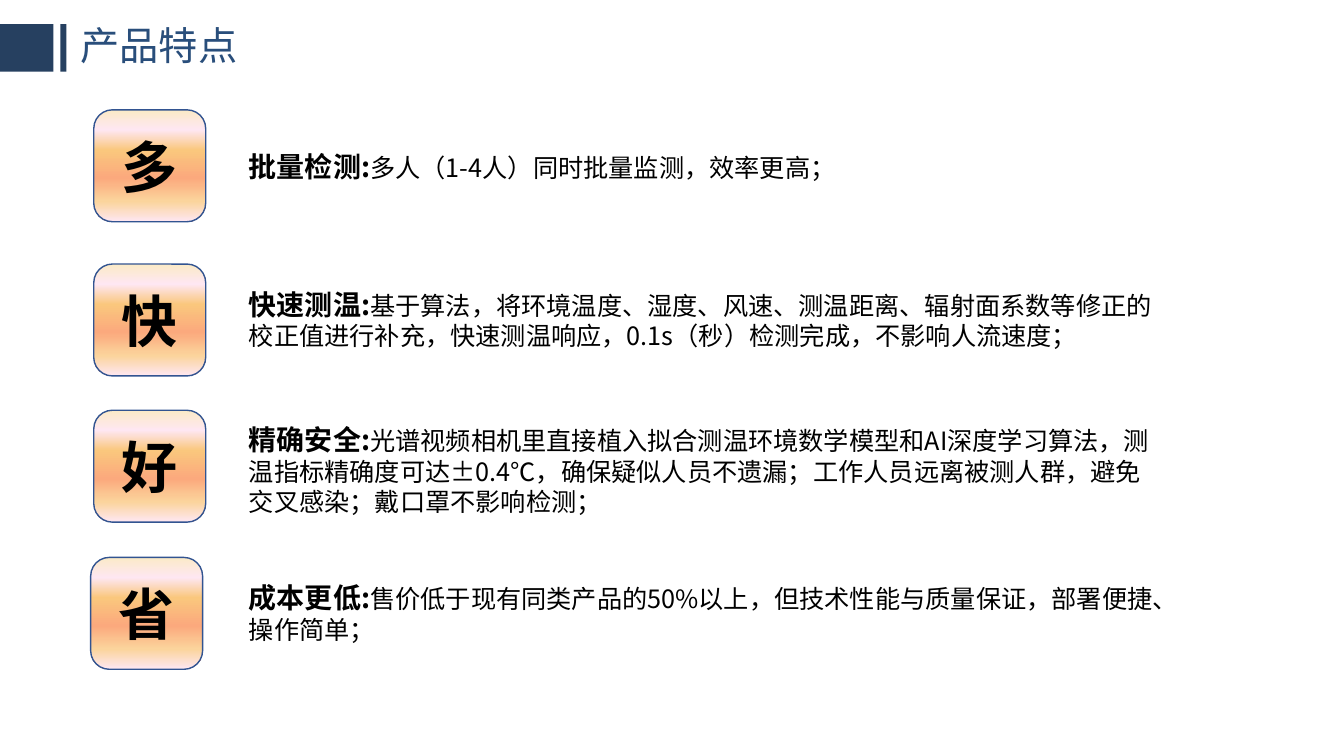
from lxml import etree
from pptx import Presentation, util as u
from pptx.dml.color import RGBColor
from pptx.enum import shapes, text
from pptx.oxml import ns

HUES = {"ink": "000000", "bar": "264060", "edge": "325491", "head": "294E7B"}
GLOW = {0: "FBEAC7", 18: "FEE7F2", 36: "FAC77D", 61: "FBA97D", 82: "FBD49C", 100: "FEE7F2"}
ITEMS = [
    ("多", 6.98, 14.53, 19.07, 1, "批量检测:", "多人（1-4人）同时批量监测，效率更高；"),
    ("快", 6.98, 34.93, 37.33, 2, "快速测温:",
     "基于算法，将环境温度、湿度、风速、测温距离、辐射面系数等修正的校正值进行补充，"
     "快速测温响应，0.1s（秒）检测完成，不影响人流速度；"),
    ("好", 6.98, 54.27, 55.2, 3, "精确安全:",
     "光谱视频相机里直接植入拟合测温环境数学模型和AI深度学习算法，测温指标精确度可达±0.4℃，"
     "确保疑似人员不遗漏；工作人员远离被测人群，避免交叉感染；戴口罩不影响检测；"),
    ("省", 6.75, 73.73, 76.13, 2, "成本更低:",
     "售价低于现有同类产品的50%以上，但技术性能与质量保证，部署便捷、操作简单；"),
]


def write(para, words, size=18, bold=False, hue="ink", face="Noto Sans CJK SC"):
    run = para.add_run()
    run.text = words
    font = run.font
    font.size, font.bold, font.name = u.Pt(size), bold, face
    font.color.rgb = RGBColor.from_string(HUES[hue])
    east = etree.SubElement(run.font._element, ns.qn("a:ea"))
    east.set("typeface", face)


class Deck:
    def __init__(self):
        self.file = Presentation()
        self.file.slide_width = u.Inches(13.33)
        self.file.slide_height = u.Inches(7.5)
        self.slide = self.file.slides.add_slide(self.file.slide_layouts[5])

    def area(self, left, top, wide, high):
        across, down = self.file.slide_width / 100, self.file.slide_height / 100
        return int(left * across), int(top * down), int(wide * across), int(high * down)

    def title(self, words, *spot):
        head = self.slide.shapes.title
        head.left, head.top, head.width, head.height = self.area(*spot)
        frame = head.text_frame
        frame.auto_size = text.MSO_AUTO_SIZE.NONE
        frame.vertical_anchor = text.MSO_ANCHOR.MIDDLE
        para = frame.paragraphs[0]
        para.alignment, para.line_spacing = text.PP_ALIGN.LEFT, 0.9
        write(para, words, size=28, hue="head")

    def shape(self, kind, *spot):
        item = self.slide.shapes.add_shape(kind, *self.area(*spot))
        item.shadow.inherit = False
        return item

    def bar(self, *spot):
        item = self.shape(shapes.MSO_SHAPE.RECTANGLE, *spot)
        item.fill.solid()
        item.fill.fore_color.rgb = RGBColor.from_string(HUES["bar"])
        item.line.fill.background()

    def badge(self, sign, left, top):
        item = self.shape(shapes.MSO_SHAPE.ROUNDED_RECTANGLE, left, top, 8.33, 14.8)
        item.fill.gradient()
        item.fill.gradient_angle = 270
        stops = item.element.spPr.find(".//" + ns.qn("a:gsLst"))
        for old in list(stops):
            stops.remove(old)
        for share, hue in GLOW.items():
            stop = etree.SubElement(stops, ns.qn("a:gs"), pos=str(share * 1000))
            etree.SubElement(stop, ns.qn("a:srgbClr"), val=hue)
        item.line.color.rgb = RGBColor.from_string(HUES["edge"])
        item.line.width = u.Pt(1)
        item.text_frame.vertical_anchor = text.MSO_ANCHOR.MIDDLE
        para = item.text_frame.paragraphs[0]
        para.alignment = text.PP_ALIGN.CENTER
        write(para, sign, size=40, bold=True)

    def note(self, label, words, top, lines):
        spot = self.area(17.78, top, 69.32, 1.87 + 4 * lines)
        frame = self.slide.shapes.add_textbox(*spot).text_frame
        frame.word_wrap = True
        frame.auto_size = text.MSO_AUTO_SIZE.SHAPE_TO_FIT_TEXT
        para = frame.paragraphs[0]
        write(para, label, size=20, bold=True)
        write(para, words)


def main():
    deck = Deck()
    for sign, left, top, drop, lines, label, words in ITEMS:
        deck.badge(sign, left, top)
        deck.note(label, words, drop, lines)
    deck.title("产品特点", 5.25, 3.2, 14.78, 6.27)
    for left, wide in ((0, 3.98), (4.5, 0.45)):
        deck.bar(left, 3.2, wide, 6.27)
    deck.file.save("out.pptx")


if __name__ == "__main__":
    main()
